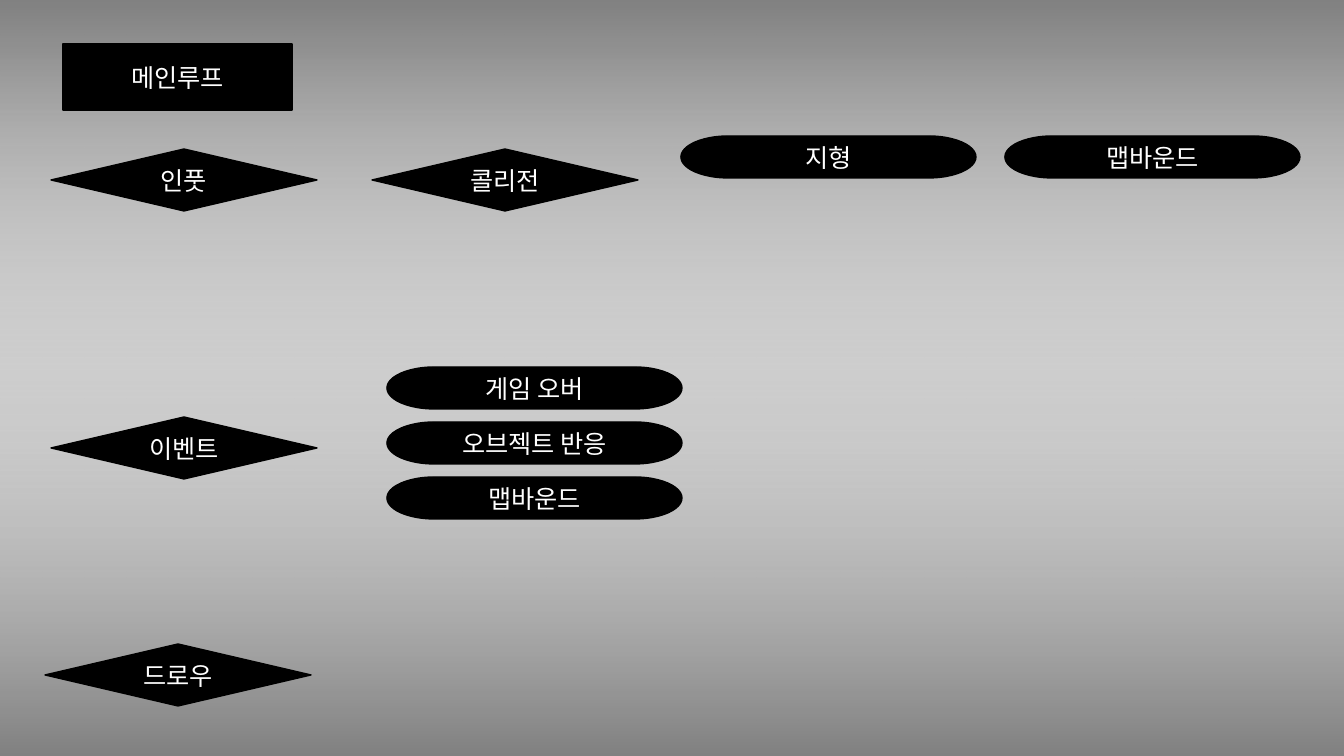
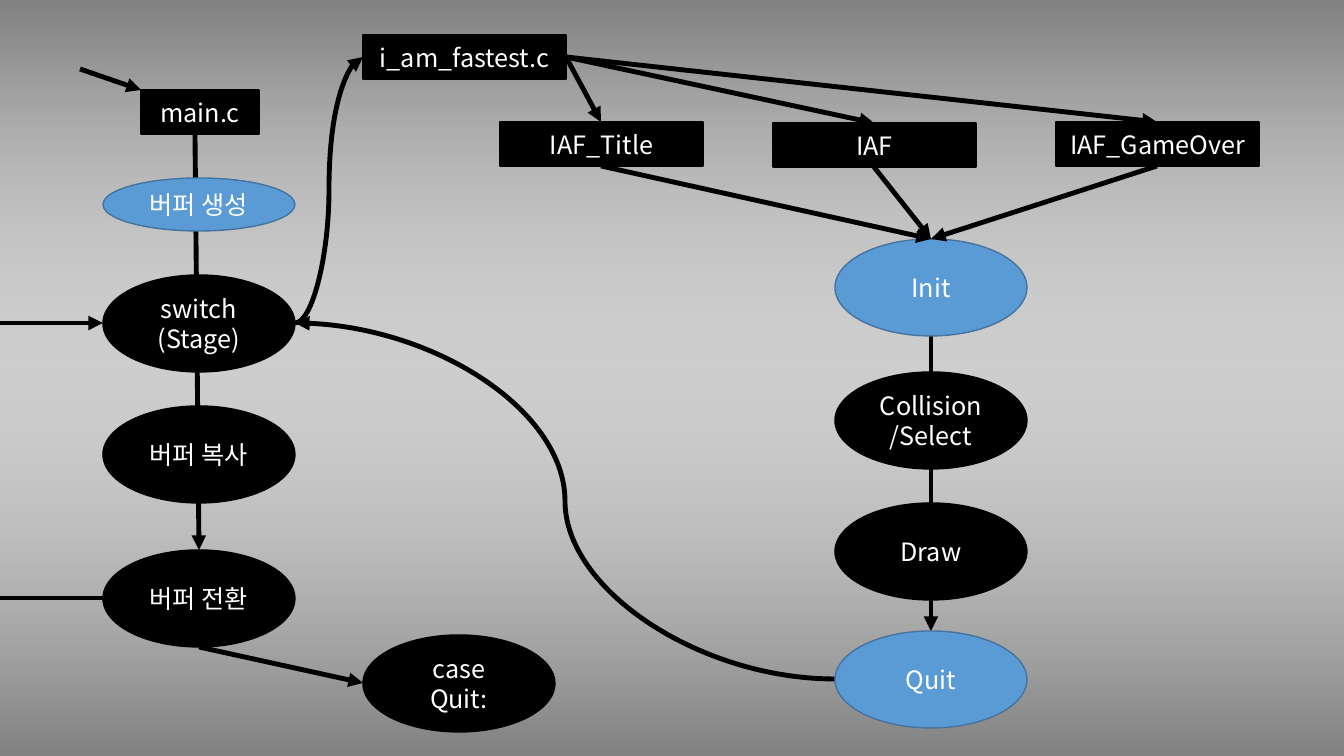
import dataclasses
import typing

import lxml.etree
import pptx
import pptx.dml.color
import pptx.enum.shapes
import pptx.enum.text
import pptx.oxml.ns
import pptx.util

SHAPE = pptx.enum.shapes.MSO_SHAPE
LINK = pptx.enum.shapes.MSO_CONNECTOR
PX = 12192000 / 1344
WIDTH, HEIGHT = 1344, 756
FONT = "Noto Sans CJK KR"
BLACK, WHITE, BLUE, BLUE_EDGE = "000000", "FFFFFF", "5B9BD5", "43739E"

Point = tuple[int, int]


@dataclasses.dataclass(frozen=True)
class Node:
    text: str
    kind: SHAPE
    x: int
    y: int
    width: int
    height: int
    fill: str = BLACK
    edge: str = BLACK

    @property
    def left(self) -> Point:
        return self.x, self.y + self.height // 2

    @property
    def right(self) -> Point:
        return self.x + self.width, self.y + self.height // 2

    @property
    def top(self) -> Point:
        return self.x + self.width // 2, self.y

    @property
    def bottom(self) -> Point:
        return self.x + self.width // 2, self.y + self.height


@dataclasses.dataclass(frozen=True)
class Arrow:
    start: Point
    end: Point
    kind: LINK = LINK.STRAIGHT
    head: bool = True


def px(*lengths: int) -> list[pptx.util.Emu]:
    return [pptx.util.Emu(round(length * PX)) for length in lengths]


def color(value: str) -> pptx.dml.color.RGBColor:
    return pptx.dml.color.RGBColor.from_string(value)


def add_xml(parent: typing.Any, tag: str, **attributes: str) -> None:
    lxml.etree.SubElement(parent, pptx.oxml.ns.qn(tag), attributes)


def add_shade(shapes: typing.Any, y: int, angle: int) -> None:
    """Add a gradient running from half-clear black to fully clear white."""
    box = shapes.add_shape(SHAPE.RECTANGLE, *px(0, y, WIDTH, HEIGHT - 41))
    box.shadow.inherit = False
    box.line.fill.background()
    box.fill.gradient()
    box.fill.gradient_angle = angle
    stops = box.fill.gradient_stops
    for stop, value, position, alpha in zip(
        stops, (BLACK, WHITE), (0, 1), ("50000", "0")
    ):
        stop.color.rgb = color(value)
        stop.position = position
    for tint, alpha in zip(
        box.fill._xPr.iter(pptx.oxml.ns.qn("a:srgbClr")), ("50000", "0")
    ):
        add_xml(tint, "a:alpha", val=alpha)


def add_page(deck: typing.Any) -> typing.Any:
    page = deck.slides.add_slide(deck.slide_layouts[6])
    group = page.shapes.add_group_shape()
    add_shade(group.shapes, 0, 270)
    add_shade(group.shapes, 41, 90)
    return page


def add_node(page: typing.Any, node: Node) -> None:
    box = page.shapes.add_shape(
        node.kind, *px(node.x, node.y, node.width, node.height)
    )
    box.shadow.inherit = False
    box.fill.solid()
    box.fill.fore_color.rgb = color(node.fill)
    box.line.color.rgb = color(node.edge)
    box.line.width = pptx.util.Pt(1)
    frame = box.text_frame
    frame.word_wrap = True
    frame.vertical_anchor = pptx.enum.text.MSO_ANCHOR.MIDDLE
    frame.text = node.text
    for para in frame.paragraphs:
        para.alignment = pptx.enum.text.PP_ALIGN.CENTER
        for span in para.runs:
            span.font.size = pptx.util.Pt(18)
            span.font.color.rgb = color(WHITE)
            span.font.name = FONT
            add_xml(span.font._element, "a:ea", typeface=FONT)


def add_arrow(page: typing.Any, arrow: Arrow) -> None:
    link = page.shapes.add_connector(arrow.kind, *px(*arrow.start, *arrow.end))
    link.line.color.rgb = color(BLACK)
    link.line.width = pptx.util.Pt(3.5)
    if arrow.head:
        add_xml(link.line._get_or_add_ln(), "a:tailEnd", type="triangle")
    add_xml(link._element.spPr, "a:effectLst")


def build_outline(deck: typing.Any) -> None:
    page = add_page(deck)
    add_node(page, Node("메인루프", SHAPE.RECTANGLE, 63, 44, 229, 66))
    for text, x, y in (
        ("콜리전", 372, 149),
        ("인풋", 51, 149),
        ("이벤트", 51, 417),
        ("드로우", 45, 644),
    ):
        add_node(page, Node(text, SHAPE.FLOWCHART_DECISION, x, y, 266, 62))
    events = ("게임 오버", "오브젝트 반응", "맵바운드")
    bounds = [(text, 387, 367 + 55 * row) for row, text in enumerate(events)]
    bounds += [("지형", 681, 136), ("맵바운드", 1005, 136)]
    for text, x, y in bounds:
        add_node(page, Node(text, SHAPE.FLOWCHART_TERMINATOR, x, y, 295, 42))


def file_box(text: str, x: int, y: int, width: int = 203) -> Node:
    return Node(text, SHAPE.FLOWCHART_PROCESS, x, y, width, 44)


def step(text: str, x: int, y: int, height: int = 97) -> Node:
    return Node(text, SHAPE.OVAL, x, y, 192, height)


def once(node: Node) -> Node:
    """Mark a step that runs a single time in blue."""
    return dataclasses.replace(node, fill=BLUE, edge=BLUE_EDGE)


def build_flow(deck: typing.Any) -> None:
    page = add_page(deck)
    main_file = file_box("main.c", 141, 90, 118)
    game_file = file_box("i_am_fastest.c", 363, 35)
    stages = [
        file_box("IAF_Title", 500, 122),
        file_box("IAF", 773, 123),
        file_box("IAF_GameOver", 1056, 122),
    ]
    create = once(step("버퍼 생성", 103, 178, 53))
    switch = step("switch\n(Stage)", 103, 275)
    copy_buffer = step("버퍼 복사", 103, 406)
    flip = step("버퍼 전환", 103, 550)
    init = once(step("Init", 835, 239))
    collision = step("Collision\n/Select", 835, 372)
    draw = step("Draw", 835, 503)
    finish = once(step("Quit", 835, 631))
    case_quit = step("case Quit:", 363, 635)

    behind = [
        Arrow((195, 133), flip.top),
        Arrow(init.top, finish.top),
        Arrow(switch.right, game_file.left, LINK.CURVE),
        Arrow(finish.left, switch.right, LINK.CURVE),
        Arrow((0, flip.left[1]), flip.left, head=False),
        Arrow((0, switch.left[1]), switch.left),
        Arrow((80, 69), (main_file.x, main_file.y)),
    ]
    front = [Arrow(game_file.right, stage.top) for stage in stages]
    front += [Arrow(stage.bottom, init.top) for stage in stages]
    front.append(Arrow(flip.bottom, case_quit.left))

    for arrow in behind:
        add_arrow(page, arrow)
    for node in (
        main_file, game_file, *stages, create, switch, copy_buffer, flip,
        init, collision, draw, finish, case_quit,
    ):
        add_node(page, node)
    for arrow in front:
        add_arrow(page, arrow)


def main() -> None:
    deck = pptx.Presentation()
    deck.slide_width, deck.slide_height = px(WIDTH, HEIGHT)
    build_outline(deck)
    build_flow(deck)
    deck.save("out.pptx")


if __name__ == "__main__":
    main()
